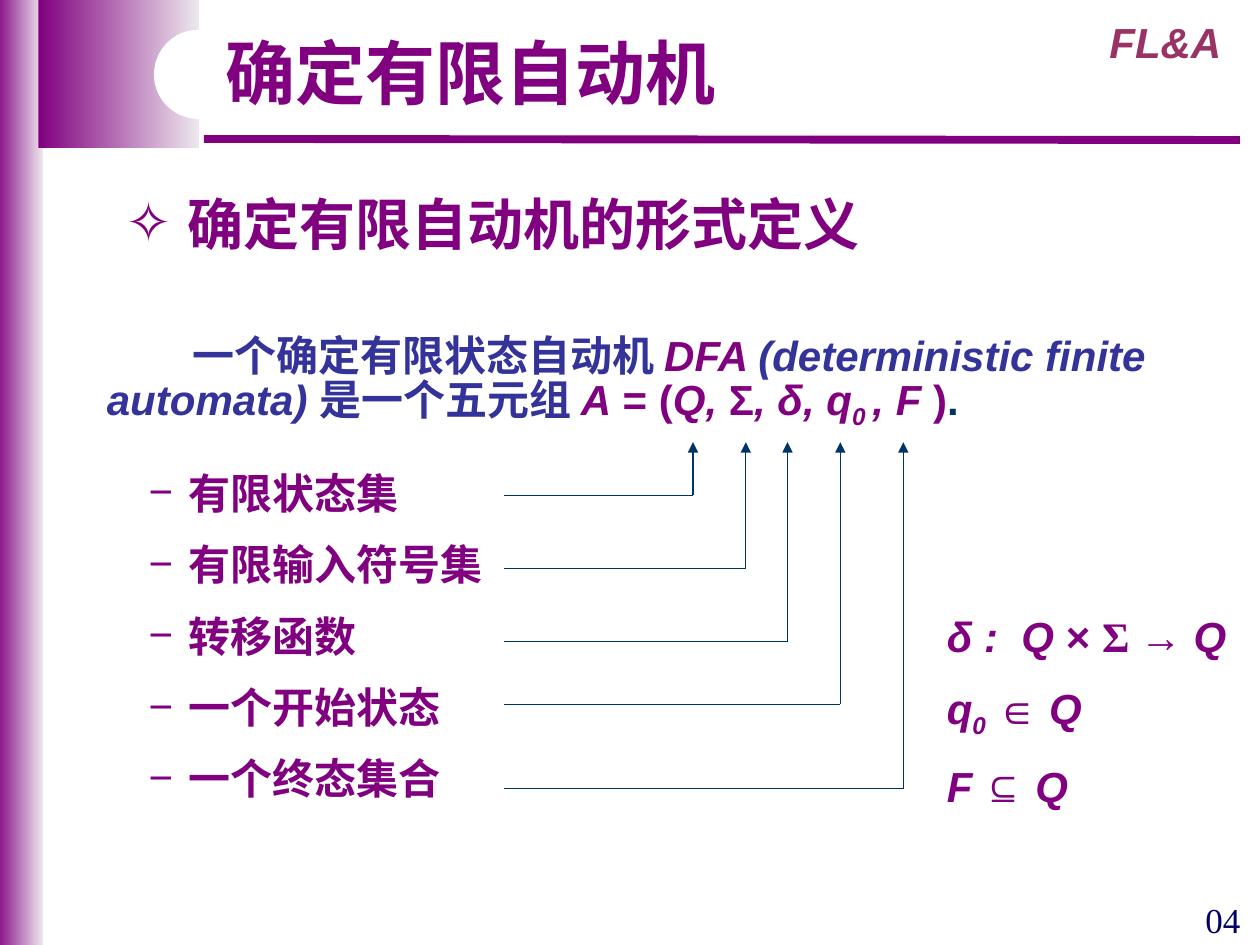
from dataclasses import dataclass, field

from lxml import etree
from pptx import Presentation
from pptx.dml.color import RGBColor
from pptx.enum.shapes import MSO_CONNECTOR, MSO_SHAPE
from pptx.enum.text import MSO_ANCHOR, PP_ALIGN
from pptx.oxml.ns import qn
from pptx.util import Pt

STRAIGHT = MSO_CONNECTOR.STRAIGHT
RECTANGLE, ROUNDED = MSO_SHAPE.RECTANGLE, MSO_SHAPE.ROUNDED_RECTANGLE
CENTER, LEFT = PP_ALIGN.CENTER, PP_ALIGN.LEFT
TOP = MSO_ANCHOR.TOP

PURPLE = RGBColor(0x80, 0x00, 0x80)
PALE = RGBColor(0xED, 0xE7, 0xED)
WHITE = RGBColor(0xFF, 0xFF, 0xFF)
ROSE = RGBColor(0x99, 0x33, 0x66)
INDIGO = RGBColor(0x33, 0x33, 0x99)
NAVY = RGBColor(0x00, 0x33, 0x66)
NUMBER_BLUE = RGBColor(0x00, 0x00, 0x66)

ARIAL, TIMES, CJK = "Arial", "Times New Roman", "Noto Sans CJK SC"


@dataclass
class Run:
    text: str
    color: RGBColor = PURPLE
    italic: bool = False
    font: str = ARIAL
    size: float = 24
    bold: bool = True
    subscript: bool = False


@dataclass
class Line:
    """One paragraph; a bullet hangs in the indent, else the indent is for the first line."""
    runs: list[Run]
    bullet: str = ""
    indent: float = 0
    format: dict = field(default_factory=dict)


@dataclass
class Box:
    left: float
    top: float
    width: float
    height: float


@dataclass
class Component:
    """A part of the five-tuple, with the corner of the arrow up to its symbol."""
    name: str
    corner_x: float
    corner_y: float


COMPONENTS = [
    Component("有限状态集", 396, 283),
    Component("有限输入符号集", 426.2, 324.7),
    Component("转移函数", 450, 366.5),
    Component("一个开始状态", 480.2, 402.5),
    Component("一个终态集合", 516.2, 450.7),
]
ARROW_START_X, ARROW_TIP_Y = 288, 252.7


def add_gradient_band(slide, box: Box) -> None:
    shape = slide.shapes.add_shape(
        RECTANGLE, Pt(box.left), Pt(box.top), Pt(box.width), Pt(box.height))
    shape.shadow.inherit = False
    shape.line.fill.background()
    shape.fill.gradient()
    shape.fill.gradient_angle = 0
    for stop, color, position in zip(shape.fill.gradient_stops, (PURPLE, PALE), (0, 1)):
        stop.color.rgb = color
        stop.position = position


def add_line(slide, start: tuple, end: tuple, color: RGBColor, width: float,
             arrow: bool = False) -> None:
    connector = slide.shapes.add_connector(STRAIGHT, *(Pt(value) for value in start + end))
    connector.line.color.rgb = color
    connector.line.width = Pt(width)
    if arrow:
        etree.SubElement(connector.line._get_or_add_ln(), qn("a:tailEnd"), type="triangle")
    etree.SubElement(connector._element.spPr, qn("a:effectLst"))


def add_run(paragraph, content: Run) -> None:
    run = paragraph.add_run()
    run.text = content.text
    values = {"name": content.font, "size": Pt(content.size),
              "bold": content.bold, "italic": content.italic}
    for name, value in values.items():
        setattr(run.font, name, value)
    run.font.color.rgb = content.color
    properties = run.font._element
    properties.find(qn("a:latin")).addnext(
        properties.makeelement(qn("a:ea"), {"typeface": CJK}))
    if content.subscript:
        properties.set("baseline", "-25000")


def fill_text(shape, box: Box, lines: list[Line], wrap: bool = True) -> None:
    shape.left, shape.top = Pt(box.left), Pt(box.top)
    shape.width, shape.height = Pt(box.width), Pt(box.height)
    frame = shape.text_frame
    frame.word_wrap = wrap
    frame.vertical_anchor = TOP
    for index, line in enumerate(lines):
        paragraph = frame.add_paragraph() if index else frame.paragraphs[0]
        properties = paragraph._element.get_or_add_pPr()
        if line.bullet:
            properties.set("marL", str(Pt(line.indent)))
            color = etree.SubElement(properties, qn("a:buClr"))
            etree.SubElement(color, qn("a:srgbClr"), val=str(PURPLE))
            etree.SubElement(properties, qn("a:buFont"), typeface=ARIAL)
            etree.SubElement(properties, qn("a:buChar"), char=line.bullet)
        properties.set("indent", str(Pt(-line.indent if line.bullet else line.indent)))
        for name, value in ({"alignment": LEFT} | line.format).items():
            setattr(paragraph, name, value)
        for run in line.runs:
            add_run(paragraph, run)


def add_text(slide, box: Box, lines: list[Line], wrap: bool = True) -> None:
    shape = slide.shapes.add_textbox(0, 0, 0, 0)
    fill_text(shape, box, lines, wrap)


def add_frame(slide) -> None:
    """Draw the bands, the rule and the course mark around the content."""
    add_gradient_band(slide, Box(-3, 0, 27.5, 542))
    add_gradient_band(slide, Box(22, 0, 91.5, 84.5))
    add_line(slide, (116.5, 79.4), (708.5, 80), PURPLE, 4.5)
    add_text(slide, Box(620.6, 6, 90.7, 36),
             [Line([Run("FL&A", ROSE, True)], format={"alignment": CENTER})], wrap=False)
    pill = slide.shapes.add_shape(ROUNDED, Pt(88), Pt(17), Pt(260.5), Pt(51))
    pill.adjustments[0] = 0.5
    pill.shadow.inherit = False
    pill.fill.solid()
    pill.fill.fore_color.rgb = WHITE
    pill.line.fill.background()


def add_title(slide) -> None:
    title = slide.shapes.title
    title._element.getparent().append(title._element)
    fill_text(title, Box(116, 18, 306, 50),
              [Line([Run("确定有限自动机", font=TIMES, size=40)],
                    format={"alignment": CENTER, "line_spacing": Pt(43)})])


def add_definition(slide) -> None:
    spacing = {"line_spacing": Pt(28.8)}
    add_text(slide, Box(64.8, 105, 448, 45),
             [Line([Run("确定有限自动机的形式定义", font=CJK, size=32)], "✧", 35,
                   {"line_spacing": Pt(38)})])
    add_text(slide, Box(54, 185, 641, 65), [
        Line([Run("一个确定有限状态自动机 ", INDIGO), Run("DFA ", italic=True),
              Run("(deterministic finite", INDIGO, True)], indent=49, format=spacing),
        Line([Run("automata) ", INDIGO, True), Run("是一个五元组 ", INDIGO),
              Run("A", italic=True), Run(" = ("), Run("Q, ", italic=True), Run("Σ"),
              Run(", δ, q", italic=True), Run("0 ", italic=True, subscript=True),
              Run(", F ", italic=True), Run(")"), Run(".", NAVY)], format=spacing),
    ])


def add_components(slide) -> None:
    lines = []
    for index, component in enumerate(COMPONENTS):
        spacing = {"line_spacing": Pt(28.8), "space_before": Pt(12 if index else 0)}
        lines.append(Line([Run(component.name, font=CJK)], "−", 23, spacing))
        corner = (component.corner_x, component.corner_y)
        add_line(slide, (ARROW_START_X, component.corner_y), corner, NAVY, 0.75)
        add_line(slide, corner, (component.corner_x, ARROW_TIP_Y), NAVY, 0.75, arrow=True)
    add_text(slide, Box(77.8, 263.5, 222, 199), lines)


def add_conditions(slide) -> None:
    gap = {"space_before": Pt(12)}
    state_set = Run("Q", italic=True)
    add_text(slide, Box(534, 345.6, 174, 117), [
        Line([Run("δ :  Q ", italic=True), Run("× "), Run("Σ ", font=TIMES), Run("→ "),
              state_set]),
        Line([Run("q", italic=True), Run("0", italic=True, subscript=True),
              Run(" ∈ ", font=TIMES), state_set], format=gap),
        Line([Run("F", italic=True), Run(" ⊆ ", font=TIMES), state_set], format=gap),
    ])


def main() -> None:
    presentation = Presentation()
    presentation.slide_width, presentation.slide_height = Pt(720), Pt(540)
    slide = presentation.slides.add_slide(presentation.slide_layouts[5])
    add_frame(slide)
    add_components(slide)
    add_definition(slide)
    add_conditions(slide)
    add_title(slide)
    add_text(slide, Box(677.5, 509.8, 42.5, 31.7),
             [Line([Run("04", NUMBER_BLUE, font=TIMES, size=20, bold=False)],
                   format={"alignment": CENTER})])
    presentation.save("out.pptx")


if __name__ == "__main__":
    main()
